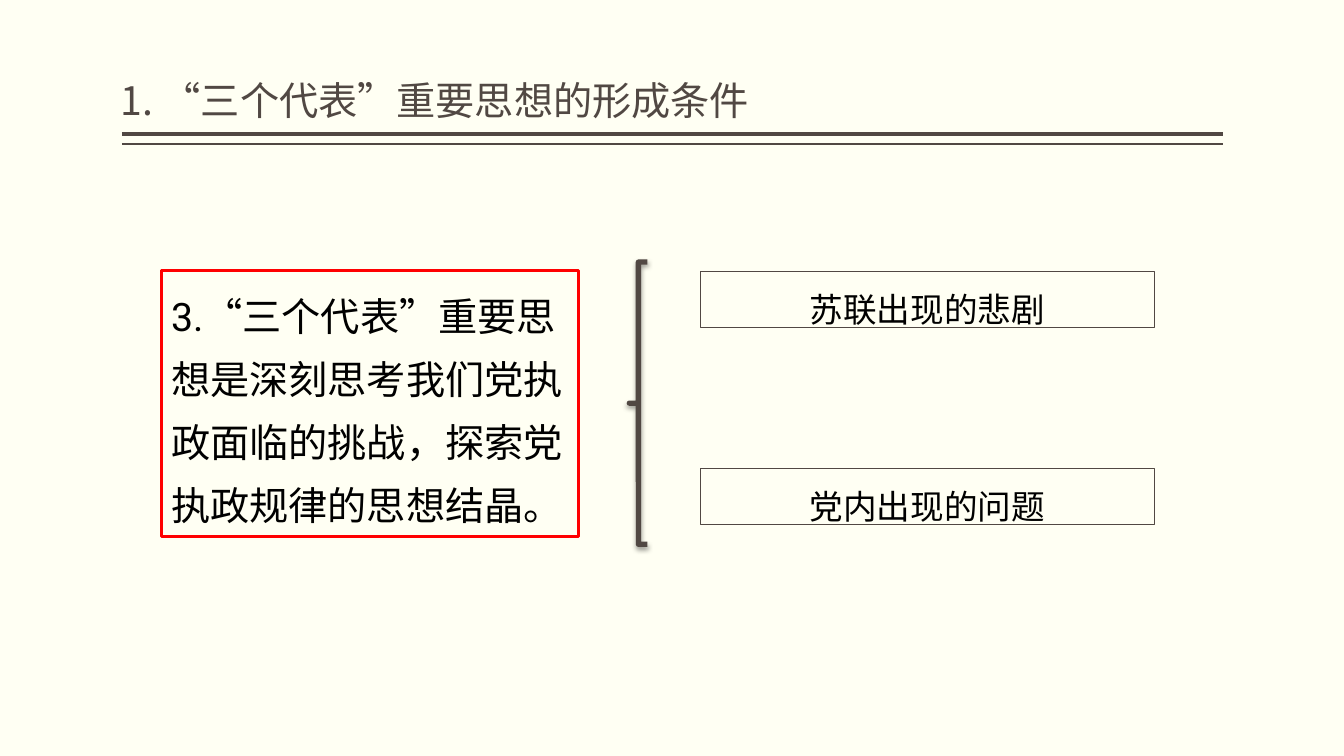
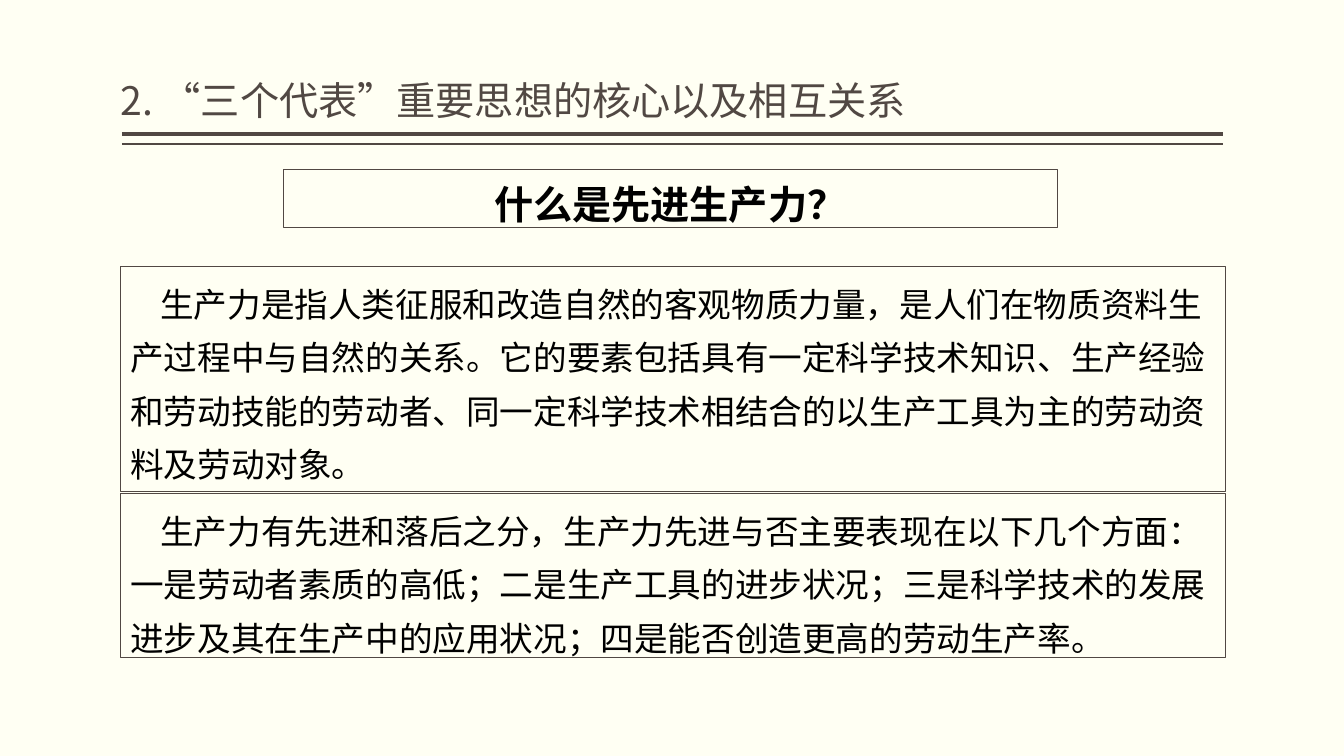
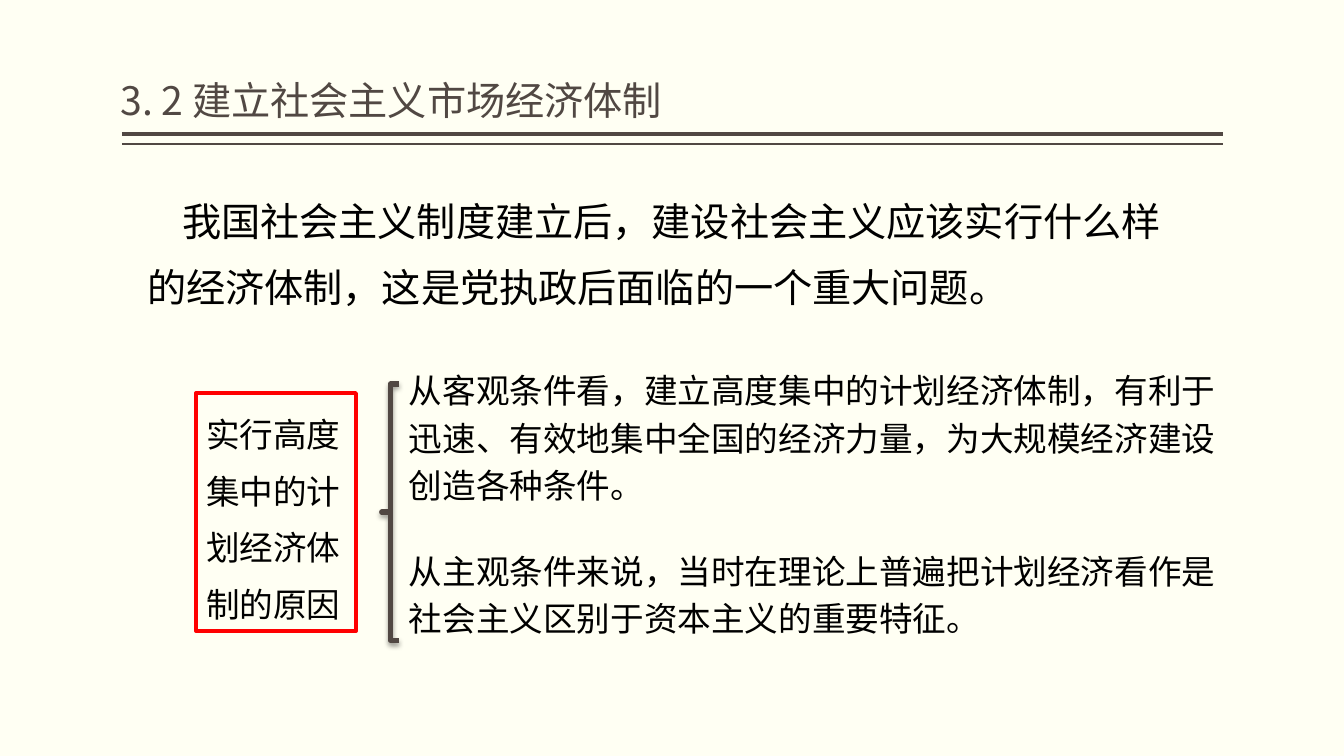
from lxml import etree
from pptx import Presentation
from pptx.dml.color import RGBColor
from pptx.enum.lang import MSO_LANGUAGE_ID as LANG
from pptx.enum.shapes import MSO_CONNECTOR, MSO_SHAPE
from pptx.enum.text import MSO_ANCHOR as ANCHOR, PP_ALIGN as ALIGN
from pptx.oxml import parse_xml
from pptx.oxml.ns import nsdecls, qn
from pptx.util import Pt

COLORS = {"paper": "FFFFF3", "brown": "514843", "red": "FF0000", "black": "000000"}
CJK_FONT, BODY_FONT = "Noto Sans CJK SC", "Roboto"
TITLE_AT = (86, 6, 786, 86)
RULE_LEFT, RULE_RIGHT = 87, 873.5
RULES = [(95.75, 3), (103, 1)]  # (y, width)
BRACE_SHADOW = (
    f'<a:effectLst {nsdecls("a")}><a:outerShdw blurRad="{Pt(3.5)}" dist="{Pt(2)}" '
    'dir="5400000" rotWithShape="0"><a:srgbClr val="000000"><a:alpha val="38000"/>'
    '</a:srgbClr></a:outerShdw></a:effectLst>')

# Box styles; spacing is in points when exact, a multiple of the line otherwise
THIN = dict(border=("brown", 0.25), spacing=Pt(38))
LABEL = dict(THIN, align=ALIGN.CENTER)
PARAGRAPH = dict(THIN, indent=21.5)
REASON = dict(spacing=Pt(34))

# Boxes: (left, top, width, height), text, style
SLIDES = [
    dict(
        title="1. “三个代表”重要思想的形成条件",
        boxes=[
            ((115.2, 193.5, 298, 189.5),
             "3.“三个代表”重要思想是深刻思考我们党执政面临的挑战，探索党执政规律的思想结晶。",
             dict(border=("red", 2), size=28, spacing=Pt(45))),
            ((500, 193.7, 324.7, 40.3), "苏联出现的悲剧", LABEL),
            ((500, 334.5, 324.7, 40.3), "党内出现的问题", LABEL),
        ],
        brace=(449.5, 187.2, 13, 201.6),
    ),
    dict(
        title="2. “三个代表”重要思想的核心以及相互关系",
        boxes=[
            ((202.5, 121, 552.5, 41.3), "什么是先进生产力？", dict(LABEL, size=28, bold=True)),
            ((86, 190.2, 789, 160.6),
             "生产力是指人类征服和改造自然的客观物质力量，是人们在物质资料生产过程中与自然的关系。"
             "它的要素包括具有一定科学技术知识、生产经验和劳动技能的劳动者、"
             "同一定科学技术相结合的以生产工具为主的劳动资料及劳动对象。", PARAGRAPH),
            ((86, 352.3, 789, 117),
             "生产力有先进和落后之分，生产力先进与否主要表现在以下几个方面："
             "一是劳动者素质的高低；二是生产工具的进步状况；"
             "三是科学技术的发展进步及其在生产中的应用状况；"
             "四是能否创造更高的劳动生产率。", PARAGRAPH),
        ],
    ),
    dict(
        title="3. 2 建立社会主义市场经济体制",
        boxes=[
            ((98, 124, 762, 102),
             "我国社会主义制度建立后，建设社会主义应该实行什么样的经济体制，"
             "这是党执政后面临的一个重大问题。", dict(size=28, spacing=1.4, indent=25)),
            ((140.2, 280.8, 114, 170), "实行高度集中的计划经济体制的原因",
             dict(border=("red", 3), spacing=1.4)),
            ((285, 255.6, 603.5, 110),
             "从客观条件看，建立高度集中的计划经济体制，有利于迅速、有效地集中全国的经济力量，"
             "为大规模经济建设创造各种条件。", REASON),
            ((285, 384.5, 603.5, 71.3),
             "从主观条件来说，当时在理论上普遍把计划经济看作是社会主义区别于资本主义的重要特征。",
             REASON),
        ],
        brace=(272.7, 274.3, 12.3, 183),
    ),
]


def rgb(name):
    return RGBColor.from_string(COLORS[name])


def points(values):
    return [Pt(v) for v in values]


def set_line(line, color, width):
    line.color.rgb = rgb(color)
    line.width = Pt(width)


def add_box(slide, at, text, border=None, size=24, spacing=1.0, align=ALIGN.LEFT,
            indent=0, bold=False, font=BODY_FONT, color="black"):
    if border:
        sp = slide.shapes.add_shape(MSO_SHAPE.RECTANGLE, *points(at))
        sp.shadow.inherit = False
        sp.fill.background()
        set_line(sp.line, *border)
    else:
        sp = slide.shapes.add_textbox(*points(at))
    tf = sp.text_frame
    tf.word_wrap = True
    tf.vertical_anchor = ANCHOR.TOP
    tf.text = text
    p = tf.paragraphs[0]
    p.alignment = align
    p.line_spacing = spacing
    if indent:
        p._p.get_or_add_pPr().set("indent", str(Pt(indent)))
    r = p.runs[0]
    r.font.name = font
    r.font.size = Pt(size)
    r.font.bold = bold
    r.font.color.rgb = rgb(color)
    r.font.language_id = LANG.SIMPLIFIED_CHINESE
    east_asian = etree.Element(qn("a:ea"), typeface=CJK_FONT)
    r.font._element.find(qn("a:latin")).addnext(east_asian)
    return sp


def add_heading(slide, title):
    for y, width in RULES:
        rule = slide.shapes.add_connector(
            MSO_CONNECTOR.STRAIGHT, *points((RULE_LEFT, y, RULE_RIGHT, y)))
        set_line(rule.line, "brown", width)
        etree.SubElement(rule._element.spPr, qn("a:effectLst"))
    tf = add_box(slide, TITLE_AT, title, size=28, spacing=0.9,
                 font=CJK_FONT, color="brown").text_frame
    tf.vertical_anchor = ANCHOR.BOTTOM
    tf.margin_left = tf.margin_right = 0


def add_brace(slide, at):
    sp = slide.shapes.add_shape(MSO_SHAPE.LEFT_BRACE, *points(at))
    sp.adjustments[0] = 0
    sp.adjustments[1] = 0.5
    sp.fill.background()
    set_line(sp.line, "brown", 3.78)
    sp._element.spPr.append(parse_xml(BRACE_SHADOW))


def main():
    prs = Presentation()
    prs.slide_width, prs.slide_height = Pt(960), Pt(540)
    background = prs.slide_master.background.fill
    background.solid()
    background.fore_color.rgb = rgb("paper")
    for content in SLIDES:
        slide = prs.slides.add_slide(prs.slide_layouts[6])
        add_heading(slide, content["title"])
        for at, text, style in content["boxes"]:
            add_box(slide, at, text, **style)
        if "brace" in content:
            add_brace(slide, content["brace"])
    prs.save("out.pptx")


if __name__ == "__main__":
    main()
